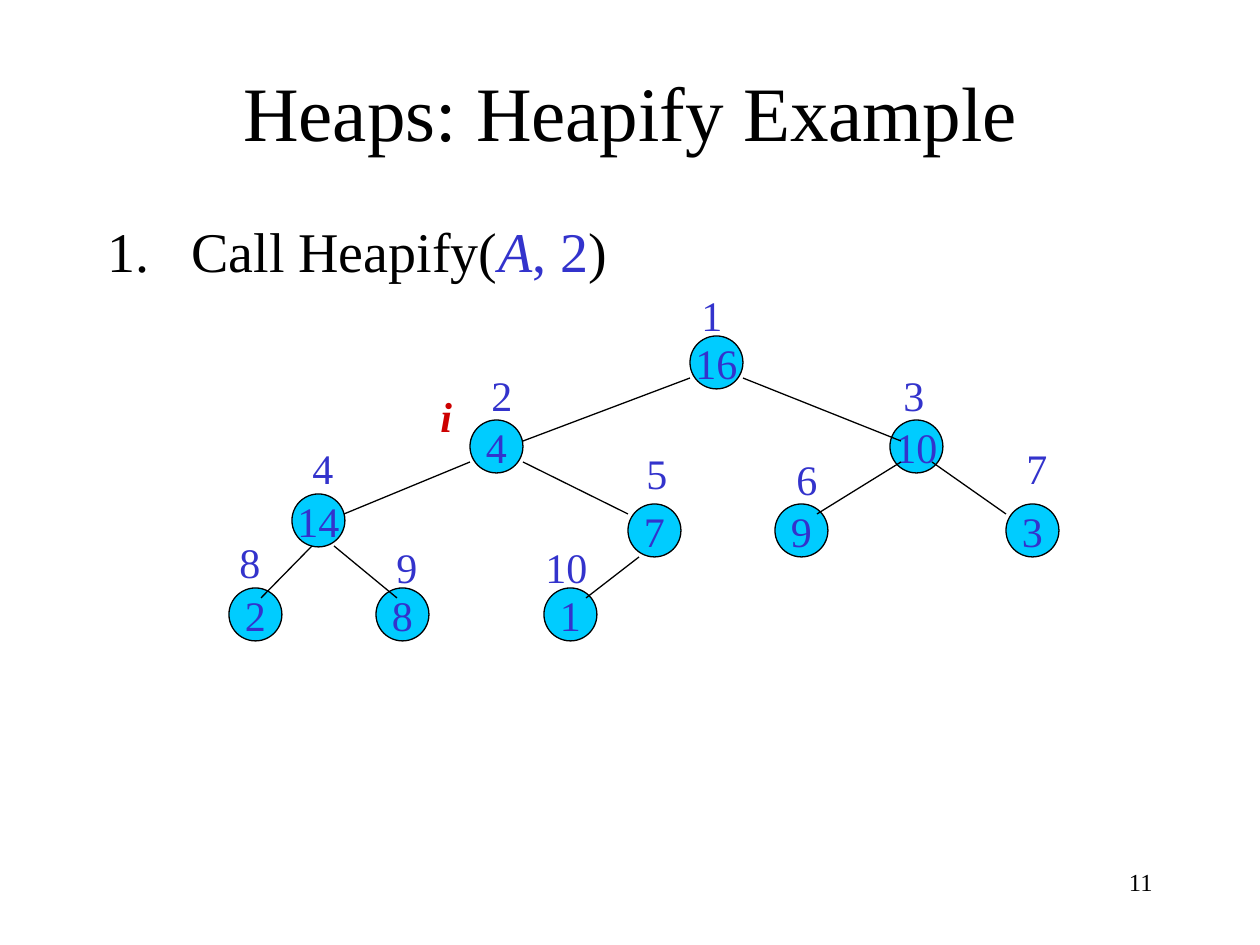
import pptx
import pptx.util
import pptx.dml.color
import pptx.enum.shapes
import pptx.enum.text
import pptx.oxml.ns
from lxml import etree

PX = 914400 / 126
FONT = "Times New Roman"
COLORS = {"black": "000000", "blue": "3333CC", "node": "00CCFF", "red": "CD0000"}
ALIGN = pptx.enum.text.PP_ALIGN
MIDDLE = pptx.enum.text.MSO_ANCHOR.MIDDLE
SHAPE = pptx.enum.shapes.MSO_SHAPE
NODE, LABEL_H = 53, 63
TITLE = "Heaps: Heapify Example"
CALL = [("Call Heapify(", "black", False), ("A", "blue", True),
        (", 2", "blue", False), (")", "black", False)]
NODES = [("16", 690, 336), ("4", 470, 420), ("10", 890, 420), ("14", 292, 494),
         ("7", 628, 504), ("2", 229, 588), ("8", 376, 588), ("1", 544, 588),
         ("9", 775, 504), ("3", 1006, 504)]
EDGES = [(690, 378, 523, 441), (743, 378, 901, 441), (470, 462, 344, 514),
         (312, 546, 261, 598), (334, 546, 397, 598), (523, 462, 628, 514),
         (639, 557, 586, 598), (901, 462, 817, 514), (932, 462, 1006, 514)]
INDEXES = [(689, 283), (479, 363), (891, 363), (300, 436), (634, 441),
           (784, 447), (1014, 436), (227, 530), (384, 535), (533, 535)]


def px(*values):
    return [pptx.util.Emu(round(v * PX)) for v in values]


def rgb(name):
    return pptx.dml.color.RGBColor.from_string(COLORS[name])


def style(font, size, color, bold=False, italic=False):
    font.name, font.size = FONT, pptx.util.Pt(size)
    font.bold, font.italic = bold, italic
    font.color.rgb = rgb(color)


def write(sp, text, size, color, align=ALIGN.LEFT, wrap=True, **kw):
    tf = sp.text_frame
    tf.word_wrap = wrap
    tf.text = text
    p = tf.paragraphs[0]
    p.alignment = align
    for r in p.runs:
        style(r.font, size, color, **kw)


def add_text(s, box, *args, **kw):
    sp = s.shapes.add_textbox(*px(*box))
    write(sp, *args, **kw)
    return sp


def add_call(s):
    sp = s.shapes.add_textbox(*px(95, 210, 1071, 630))
    sp.text_frame.word_wrap = True
    p = sp.text_frame.paragraphs[0]
    pPr = p._p.get_or_add_pPr()
    indent = px(84)[0]
    pPr.set("marL", str(indent))
    pPr.set("indent", str(-indent))
    etree.SubElement(pPr, pptx.oxml.ns.qn("a:buAutoNum"), type="arabicPeriod")
    for text, color, italic in CALL:
        r = p.add_run()
        r.text = text
        style(r.font, 32, color, italic=italic)


def add_node(s, key, x, y):
    sp = s.shapes.add_shape(SHAPE.OVAL, *px(x, y, NODE, NODE))
    sp.shadow.inherit = False
    sp.fill.solid()
    sp.fill.fore_color.rgb = rgb("node")
    sp.line.color.rgb = rgb("black")
    sp.line.width = pptx.util.Pt(0.75)
    sp.text_frame.vertical_anchor = MIDDLE
    write(sp, key, 24, "blue", ALIGN.CENTER, wrap=False)


def add_edge(s, ends):
    line = s.shapes.add_connector(pptx.enum.shapes.MSO_CONNECTOR.STRAIGHT, *px(*ends))
    line.line.color.rgb = rgb("black")
    line.line.width = pptx.util.Pt(0.75)
    etree.SubElement(line._element.spPr, pptx.oxml.ns.qn("a:effectLst"))


def main():
    prs = pptx.Presentation()
    prs.slide_width, prs.slide_height = px(1260, 945)
    s = prs.slides.add_slide(prs.slide_layouts[6])
    title = add_text(s, (95, 32, 1071, 157), TITLE, 44, "black", ALIGN.CENTER)
    title.text_frame.vertical_anchor = MIDDLE
    add_call(s)
    for node in NODES:
        add_node(s, *node)
    for ends in EDGES:
        add_edge(s, ends)
    for i, (x, y) in enumerate(INDEXES, 1):
        width = 46 if i < 10 else 67
        add_text(s, (x, y, width, LABEL_H), str(i), 24, "blue", wrap=False)
    add_text(s, (428, 384, 37, LABEL_H), "i", 24, "red", wrap=False, bold=True, italic=True)
    add_text(s, (903, 861, 262, 63), "11", 14, "black", ALIGN.RIGHT)
    prs.save("out.pptx")


if __name__ == "__main__":
    main()
